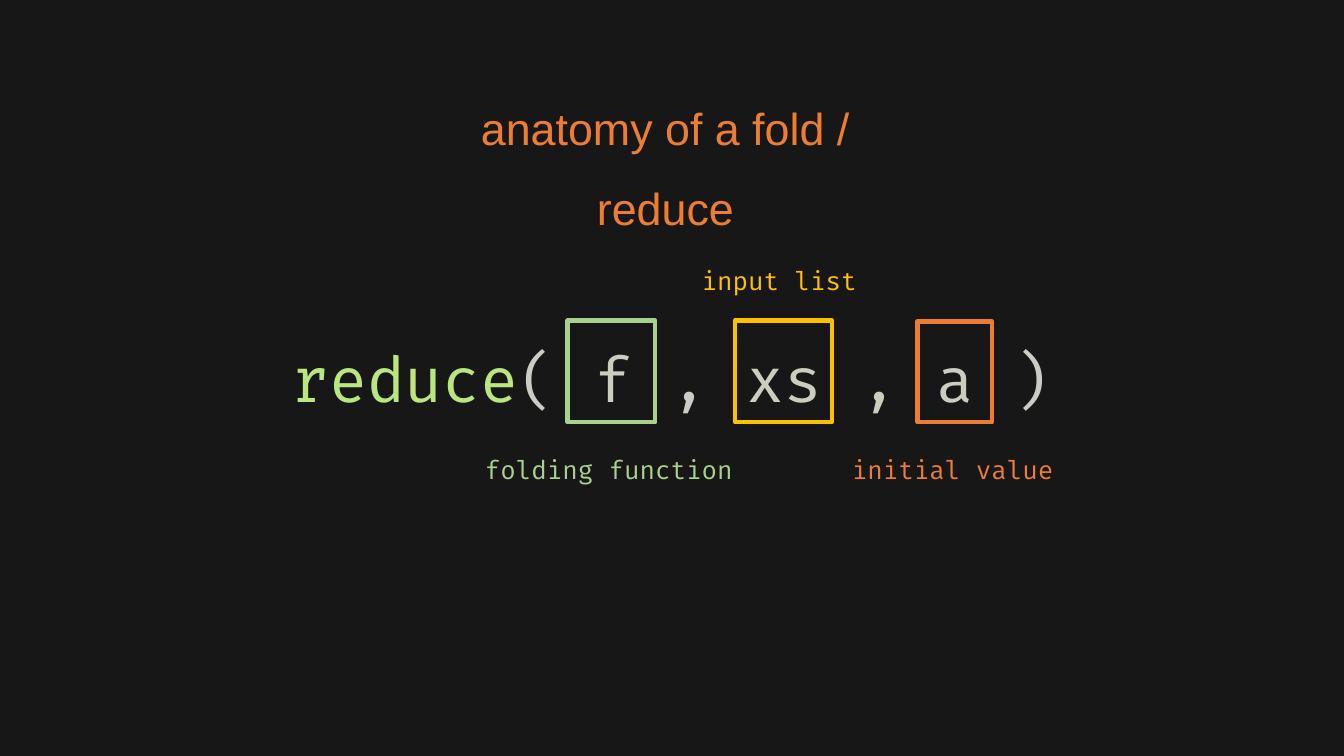
from pptx import Presentation
from pptx.dml.color import RGBColor
from pptx.enum.shapes import MSO_SHAPE
from pptx.enum.text import MSO_ANCHOR, MSO_AUTO_SIZE, PP_ALIGN
from pptx.util import Inches, Pt

RECTANGLE = MSO_SHAPE.RECTANGLE
TOP = MSO_ANCHOR.TOP
NO_FIT = MSO_AUTO_SIZE.NONE
LEFT, CENTER = PP_ALIGN.LEFT, PP_ALIGN.CENTER

WIDTH, HEIGHT = 13.33, 7.5
CODE_FONT, TITLE_FONT = "Fira Code", "Arial"
BACKGROUND = "181717"
GREEN, YELLOW, ORANGE = "A9D18E", "FFC000", "ED7D31"
NAME, MARK, ARGUMENT = "BAE67E", "CBCCC6", "CBCEBC"

TITLE = "anatomy of a fold / reduce"
TITLE_AREA = (3.99, 0.68, 5.22, 1.12)
CALL = [("reduce", NAME), ("( ", MARK), ("f ", ARGUMENT), (",", MARK),
        (" xs , a ", ARGUMENT), (")", MARK)]
CALL_AREA = (2.79, 3.33, 7.75, 0.84)
FRAME_BOTTOM = 4.19
ABOVE, BELOW, LABEL_HEIGHT = 2.58, 4.46, 0.4
PARTS = [
    {"label": "folding function", "color": GREEN, "frame": (5.63, 0.87, 1.01),
     "text": (4.71, BELOW, 2.69)},
    {"label": "input list", "color": YELLOW, "frame": (7.29, 0.96, 1.01),
     "text": (6.86, ABOVE, 1.82)},
    {"label": "initial value", "color": ORANGE, "frame": (9.1, 0.74, 1.0),
     "text": (8.35, BELOW, 2.25)},
]


def rgb(value):
    return RGBColor.from_string(value)


def write(box, spans, size, font=CODE_FONT, align=LEFT, wrap=True):
    frame = box.text_frame
    frame.word_wrap = wrap
    frame.auto_size = NO_FIT
    frame.vertical_anchor = TOP
    para = frame.paragraphs[0]
    para.alignment = align
    for text, color in spans:
        span = para.add_run()
        span.text = text
        span.font.name = font
        span.font.size = Pt(size)
        span.font.color.rgb = rgb(color)
    return para


def place(box, area):
    box.left, box.top, box.width, box.height = map(Inches, area)


def add_text(page, area, spans, size):
    box = page.shapes.add_textbox(*map(Inches, area))
    write(box, spans, size)


def add_frame(page, left, width, height, color):
    area = (left, FRAME_BOTTOM - height, width, height)
    box = page.shapes.add_shape(RECTANGLE, *map(Inches, area))
    box.shadow.inherit = False
    box.fill.background()
    box.line.color.rgb = rgb(color)
    box.line.width = Pt(3)


def main():
    deck = Presentation()
    deck.slide_width, deck.slide_height = Inches(WIDTH), Inches(HEIGHT)
    page = deck.slides.add_slide(deck.slide_layouts.get_by_name("Title Only"))
    page.background.fill.solid()
    page.background.fill.fore_color.rgb = rgb(BACKGROUND)

    title = page.shapes.title
    place(title, TITLE_AREA)
    para = write(title, [(TITLE, ORANGE)], 32, font=TITLE_FONT, align=CENTER)
    para.line_spacing = 1.5
    para.space_before = Pt(10)

    add_text(page, CALL_AREA, CALL, 44)
    for part in PARTS:
        add_frame(page, *part["frame"], part["color"])
    for part in PARTS:
        add_text(page, (*part["text"], LABEL_HEIGHT),
                 [(part["label"], part["color"])], 18)

    deck.save("out.pptx")


if __name__ == "__main__":
    main()
